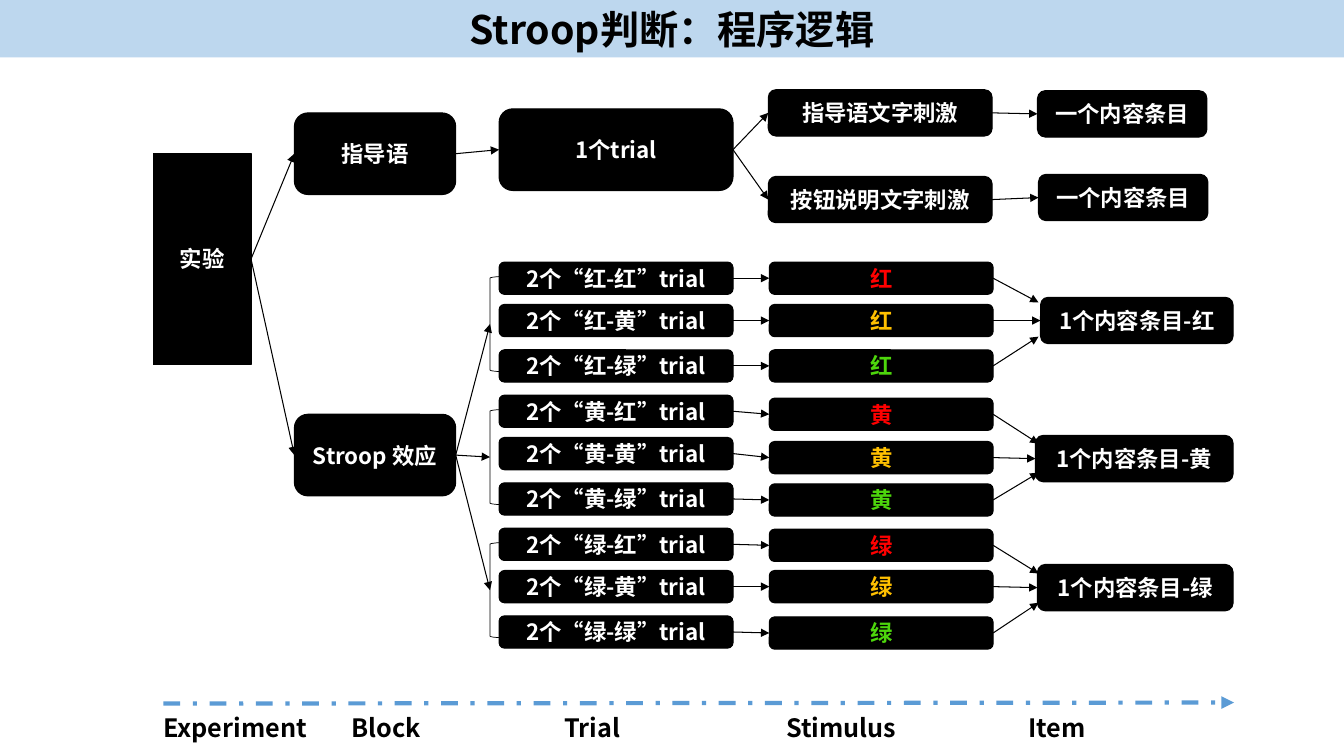
from dataclasses import dataclass
import pptx
import pptx.dml.color
import pptx.enum.dml
import pptx.enum.shapes
import pptx.enum.text
import pptx.oxml
import pptx.oxml.ns
import pptx.util

Inches, Pt = pptx.util.Inches, pptx.util.Pt
Kind = pptx.enum.shapes.MSO_SHAPE
qn = pptx.oxml.ns.qn
FONT = "Noto Sans CJK SC"
BLACK, WHITE = "000000", "FFFFFF"
RIGHT, LEFT = 3, 1


@dataclass
class Box:
    text: str
    x: float
    y: float
    w: float
    h: float
    ink: str = WHITE
    kind: Kind = Kind.ROUNDED_RECTANGLE


@dataclass
class Group:
    word: str
    top: float
    stims: tuple[float, ...]
    item: Box
    ends: tuple[float, float]


def color(code: str):
    return pptx.dml.color.RGBColor.from_string(code)


def child(parent, tag: str, **attrs: str):
    node = parent.makeelement(qn(tag), attrs)
    parent.append(node)
    return node


def write(frame, text: str, size: float, ink: str, center: bool = True) -> None:
    frame.word_wrap = True
    frame.vertical_anchor = pptx.enum.text.MSO_ANCHOR.MIDDLE
    para = frame.paragraphs[0]
    para.text = text
    if center:
        para.alignment = pptx.enum.text.PP_ALIGN.CENTER
    font = para.font
    font.name, font.size, font.bold = FONT, Pt(size), True
    font.color.rgb = color(ink)
    child(para._p.pPr.find(qn("a:defRPr")), "a:ea", typeface=FONT)


def block(slide, box: Box, fill: str = BLACK, size: float = 16):
    shape = slide.shapes.add_shape(
        box.kind, Inches(box.x), Inches(box.y), Inches(box.w), Inches(box.h))
    shape.shadow.inherit = False
    shape.fill.solid()
    shape.fill.fore_color.rgb = color(fill)
    shape.line.color.rgb = color(fill)
    shape.line.width = Pt(0.75)
    write(shape.text_frame, box.text, size, box.ink)
    return shape


def arrow(slide, start=None, end=None, a=(0, 0), b=(0, 0),
          ink: str = BLACK, width: float = 0.75, dash=None) -> None:
    """Join start's right side to end's left side; points a and b serve where no shape is given."""
    line = slide.shapes.add_connector(
        pptx.enum.shapes.MSO_CONNECTOR.STRAIGHT, *map(Inches, (*a, *b)))
    if start is not None:
        line.begin_connect(start, RIGHT)
    if end is not None:
        line.end_connect(end, LEFT)
    line.line.color.rgb = color(ink)
    line.line.width = Pt(width)
    if dash is not None:
        line.line.dash_style = dash
    props = line._element.spPr
    child(props.find(qn("a:ln")), "a:tailEnd", type="triangle")
    child(props, "a:effectLst")


def bracket(slide, x: float, y: float):
    shape = slide.shapes.add_shape(
        Kind.LEFT_BRACKET, Inches(x), Inches(y), Inches(0.23), Inches(0.95))
    shape.shadow.inherit = False
    shape.fill.background()
    shape.line.color.rgb = color(BLACK)
    shape.line.width = Pt(0.5)
    return shape


def axis(slide) -> None:
    arrow(slide, a=(1.62, 6.98), b=(12.24, 6.97), ink="5B9BD5", width=3,
          dash=pptx.enum.dml.MSO_LINE.DASH_DOT)
    frame = slide.shapes.add_textbox(
        Inches(1.52), Inches(7.02), Inches(10.71), Inches(0.4)).text_frame
    tabs = child(frame.paragraphs[0]._p.get_or_add_pPr(), "a:tabLst")
    for stop in (1.87, 3.98, 6.18, 8.58):
        child(tabs, "a:tab", pos=str(Inches(stop)), algn="l")
    write(frame, "\t".join(("Experiment", "Block", "Trial", "Stimulus", "Item")),
          18, BLACK, center=False)


def guide(slide, root) -> None:
    """Branch for the instruction block."""
    intro = block(slide, Box("指导语", 2.92, 1.12, 1.6, 0.81))
    trial = block(slide, Box("1个trial", 4.95, 1.08, 2.32, 0.81))
    arrow(slide, root, intro)
    arrow(slide, intro, trial)
    for text, y, x, top in (("指导语文字刺激", 0.89, 10.29, 0.9),
                            ("按钮说明文字刺激", 1.75, 10.3, 1.73)):
        stim = block(slide, Box(text, 7.62, y, 2.22, 0.46))
        item = block(slide, Box("一个内容条目", x, top, 1.68, 0.46))
        arrow(slide, trial, stim)
        arrow(slide, stim, item)


INKS = {"红": "FF0000", "黄": "FFC000", "绿": "4DD60C"}
STEPS = (0, 0.42, 0.87)
GROUPS = (
    Group("红", 2.6, (2.6, 3.02, 3.47),
          Box("1个内容条目-红", 10.32, 2.95, 1.91, 0.46), (3, 3.34)),
    Group("黄", 3.92, (3.95, 4.38, 4.8),
          Box("1个内容条目-黄", 10.27, 4.32, 1.96, 0.46), (4.4, 4.69)),
    Group("绿", 5.24, (5.25, 5.66, 6.12),
          Box("1个内容条目-绿", 10.29, 5.6, 1.94, 0.46), (5.69, 5.98)),
)


def branch(slide, effect, group: Group) -> None:
    """Trials, stimuli and item of one word."""
    item = block(slide, group.item)
    high, low = group.ends
    for (name, ink), step, y, end in zip(
            INKS.items(), STEPS, group.stims, (high, None, low)):
        text = f"2个“{group.word}-{name}”trial"
        trial = block(slide, Box(text, 4.95, group.top + step, 2.32, 0.32))
        stim = block(slide, Box(group.word, 7.63, y, 2.22, 0.32, ink))
        arrow(slide, trial, stim)
        if end is None:
            arrow(slide, stim, item)
        else:
            arrow(slide, stim, b=(10.3, end))
    arrow(slide, effect, bracket(slide, 4.86, group.top + 0.14))


def main() -> None:
    deck = pptx.Presentation()
    deck.slide_width, deck.slide_height = Inches(13.33), Inches(7.5)
    slide = deck.slides.add_slide(deck.slide_layouts[6])
    title = block(slide, Box("Stroop判断：程序逻辑", 0, 0, 13.33, 0.57, BLACK,
                             Kind.RECTANGLE), "BDD7EE", 28)
    title.line.fill.background()
    axis(slide)
    root = block(slide, Box("实验", 1.52, 1.52, 0.97, 2.1, kind=Kind.RECTANGLE))
    guide(slide, root)
    effect = block(slide, Box("Stroop 效应", 2.92, 4.11, 1.6, 0.81))
    arrow(slide, root, effect)
    for group in GROUPS:
        branch(slide, effect, group)
    deck.save("out.pptx")


if __name__ == "__main__":
    main()
